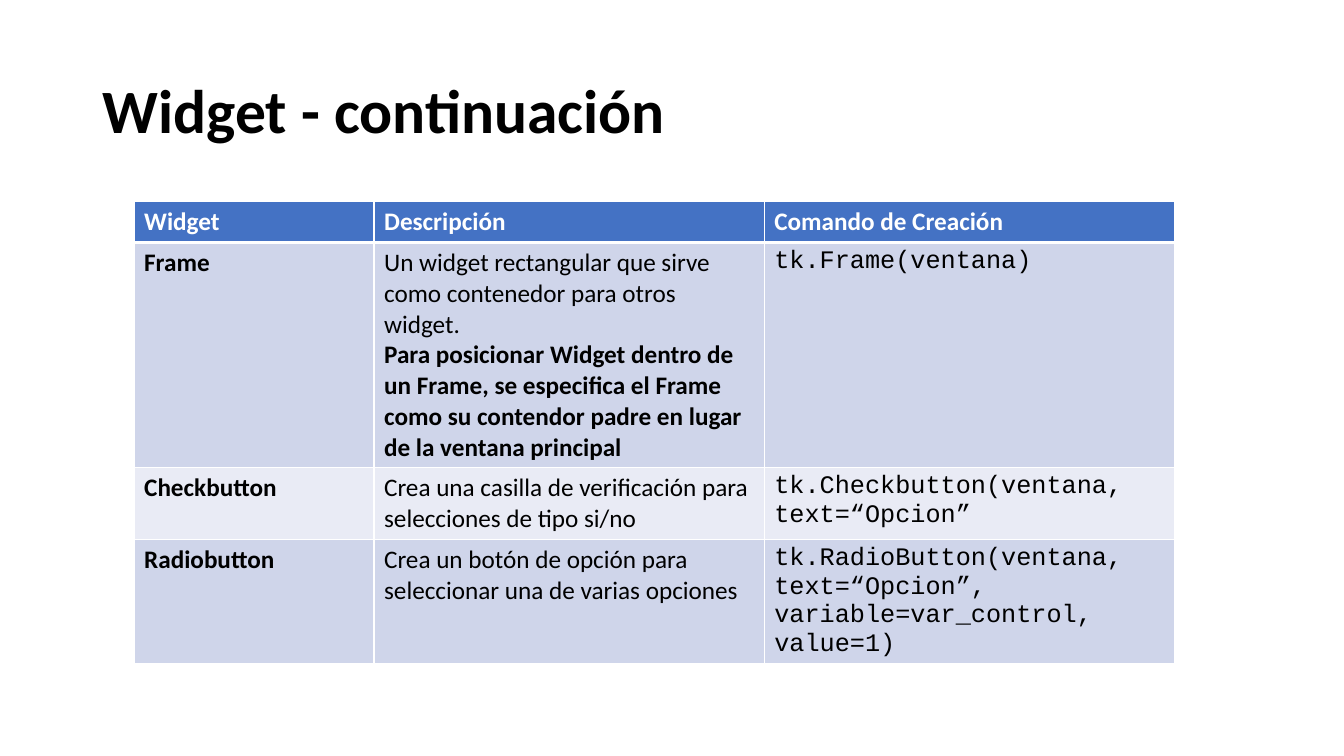
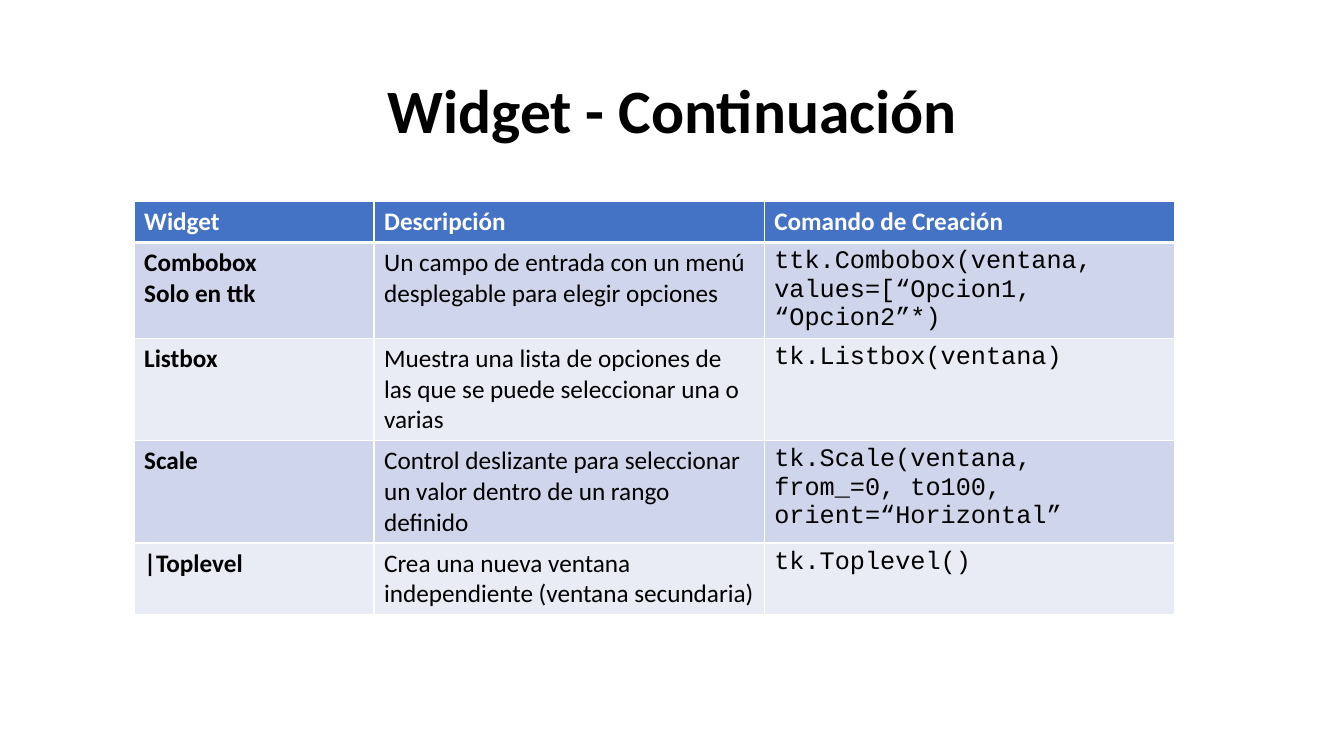
"""Build two slides that list tkinter widgets in tables."""
from lxml.etree import SubElement
from pptx import Presentation
from pptx.dml.color import RGBColor
from pptx.enum.text import MSO_ANCHOR, PP_ALIGN
from pptx.oxml.ns import qn
from pptx.util import Emu, Pt

PIXEL = 9144
WHITE = RGBColor(0xFF, 0xFF, 0xFF)
BLACK = RGBColor(0x00, 0x00, 0x00)
HEADER_BLUE = RGBColor(0x44, 0x72, 0xC4)
BANDS = (RGBColor(0xCF, 0xD5, 0xEA), RGBColor(0xE9, 0xEB, 0xF5))
TEXT_FONT = "Calibri"
CODE_FONT = "Courier New"
TITLE_BOX = (92, 40, 1150, 145)
TABLE_LEFT, TABLE_TOP = 133, 200
COLUMN_WIDTHS = (238, 387, 407)
HEADER_HEIGHT = 40
HEADINGS = ("Widget", "Descripción", "Comando de Creación")

SLIDES = [
    {
        "title": "Widget - continuación",
        "alignment": PP_ALIGN.LEFT,
        "heights": (223, 71, 122),
        "rows": [
            (["Frame"],
             ["Un widget rectangular que sirve como contenedor para otros widget.",
              "Para posicionar Widget dentro de un Frame, se especifica el Frame "
              "como su contendor padre en lugar de la ventana principal"],
             ["tk.Frame(ventana)"]),
            (["Checkbutton"],
             ["Crea una casilla de verificación para selecciones de tipo si/no"],
             ["tk.Checkbutton(ventana, text=“Opcion”"]),
            (["Radiobutton"],
             ["Crea un botón de opción para seleccionar una de varias opciones"],
             ["tk.RadioButton(ventana, text=“Opcion”, variable=var_control, value=1)"]),
        ],
    },
    {
        "title": "Widget - Continuación",
        "alignment": PP_ALIGN.CENTER,
        "heights": (95, 101, 101, 71),
        "rows": [
            (["Combobox", "Solo en ttk"],
             ["Un campo de entrada con un menú desplegable para elegir opciones"],
             ["ttk.Combobox(ventana, values=[“Opcion1, “Opcion2”*)"]),
            (["Listbox"],
             ["Muestra una lista de opciones de las que se puede seleccionar una o varias"],
             ["tk.Listbox(ventana)"]),
            (["Scale"],
             ["Control deslizante para seleccionar un valor dentro de un rango definido"],
             ["tk.Scale(ventana, from_=0, to100, orient=“Horizontal”"]),
            (["|Toplevel"],
             ["Crea una nueva ventana independiente (ventana secundaria)"],
             ["tk.Toplevel()"]),
        ],
    },
]


def px(length):
    return Emu(length * PIXEL)


def style_font(font, name, size, color, bold):
    font.name = name
    font.size = Pt(size)
    font.color.rgb = color
    font.bold = bold


def add_title(slide, text, alignment):
    title = slide.shapes.title
    title.left, title.top, title.width, title.height = map(px, TITLE_BOX)
    title.text_frame.text = text
    title.text_frame.vertical_anchor = MSO_ANCHOR.MIDDLE
    paragraph = title.text_frame.paragraphs[0]
    paragraph.alignment = alignment
    paragraph.line_spacing = 0.9
    style_font(paragraph.font, TEXT_FONT, 44, BLACK, True)


def set_borders(cell, top, bottom):
    properties = cell._tc.get_or_add_tcPr()
    for side, width in (("L", 1), ("R", 1), ("T", top), ("B", bottom)):
        line = SubElement(properties, qn(f"a:ln{side}"), w=str(Pt(width)))
        fill = SubElement(line, qn("a:solidFill"))
        SubElement(fill, qn("a:srgbClr"), val=str(WHITE))


def fill_cell(cell, texts, row, column):
    is_header = row == 0
    set_borders(cell, 3 if row == 1 else 1, 3 if is_header else 1)
    cell.fill.solid()
    cell.fill.fore_color.rgb = HEADER_BLUE if is_header else BANDS[(row - 1) % 2]
    cell.text_frame.text = "\n".join(texts)
    font_name = CODE_FONT if column == 2 and not is_header else TEXT_FONT
    for index, paragraph in enumerate(cell.text_frame.paragraphs):
        bold = is_header or column == 0 or index > 0
        style_font(paragraph.font, font_name, 18, WHITE if is_header else BLACK, bold)


def add_widget_table(slide, rows, heights):
    all_rows = [[[heading] for heading in HEADINGS], *rows]
    all_heights = (HEADER_HEIGHT, *heights)
    table = slide.shapes.add_table(
        len(all_rows), len(COLUMN_WIDTHS), px(TABLE_LEFT), px(TABLE_TOP),
        px(sum(COLUMN_WIDTHS)), px(sum(all_heights))).table
    for column, width in zip(table.columns, COLUMN_WIDTHS):
        column.width = px(width)
    for row, height in zip(table.rows, all_heights):
        row.height = px(height)
    for row_index, row_texts in enumerate(all_rows):
        for column_index, texts in enumerate(row_texts):
            fill_cell(table.cell(row_index, column_index), texts, row_index, column_index)


def main():
    presentation = Presentation()
    presentation.slide_width, presentation.slide_height = px(1333), px(750)
    for content in SLIDES:
        slide = presentation.slides.add_slide(presentation.slide_layouts[5])
        add_title(slide, content["title"], content["alignment"])
        add_widget_table(slide, content["rows"], content["heights"])
    presentation.save("out.pptx")


if __name__ == "__main__":
    main()
